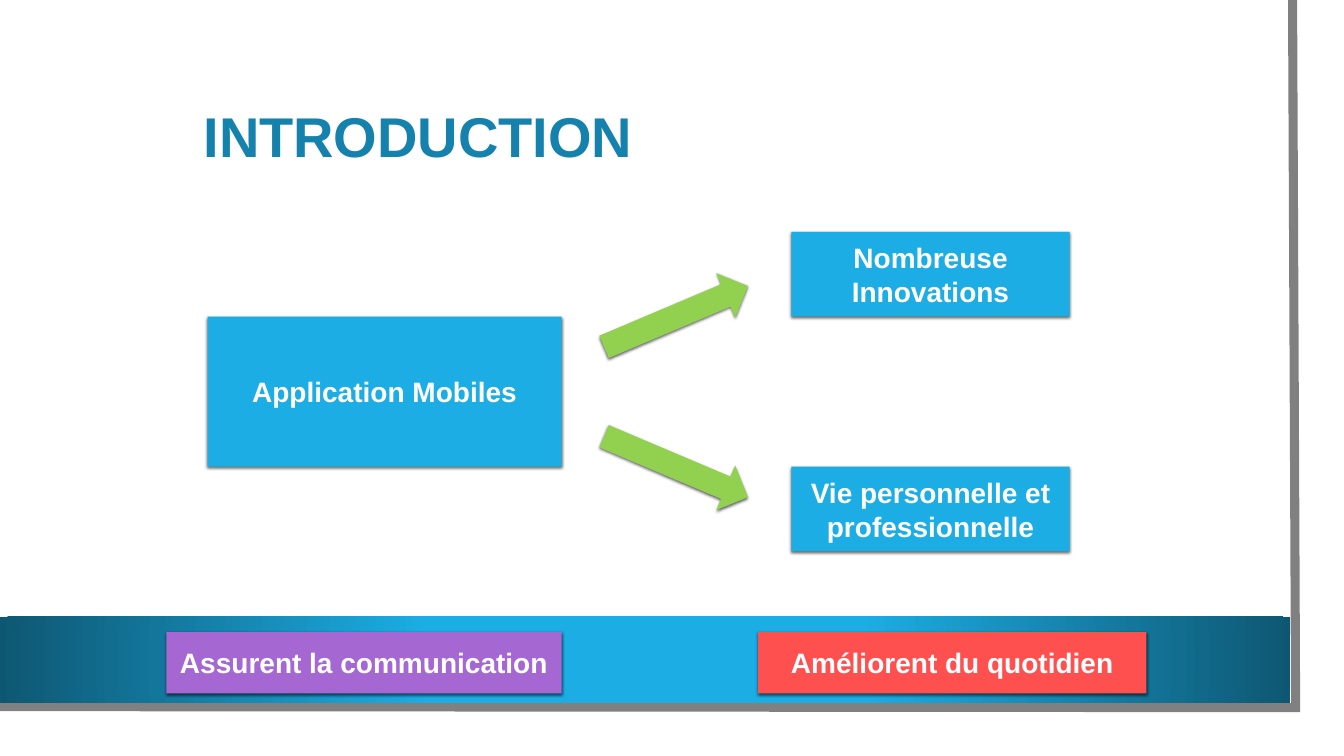
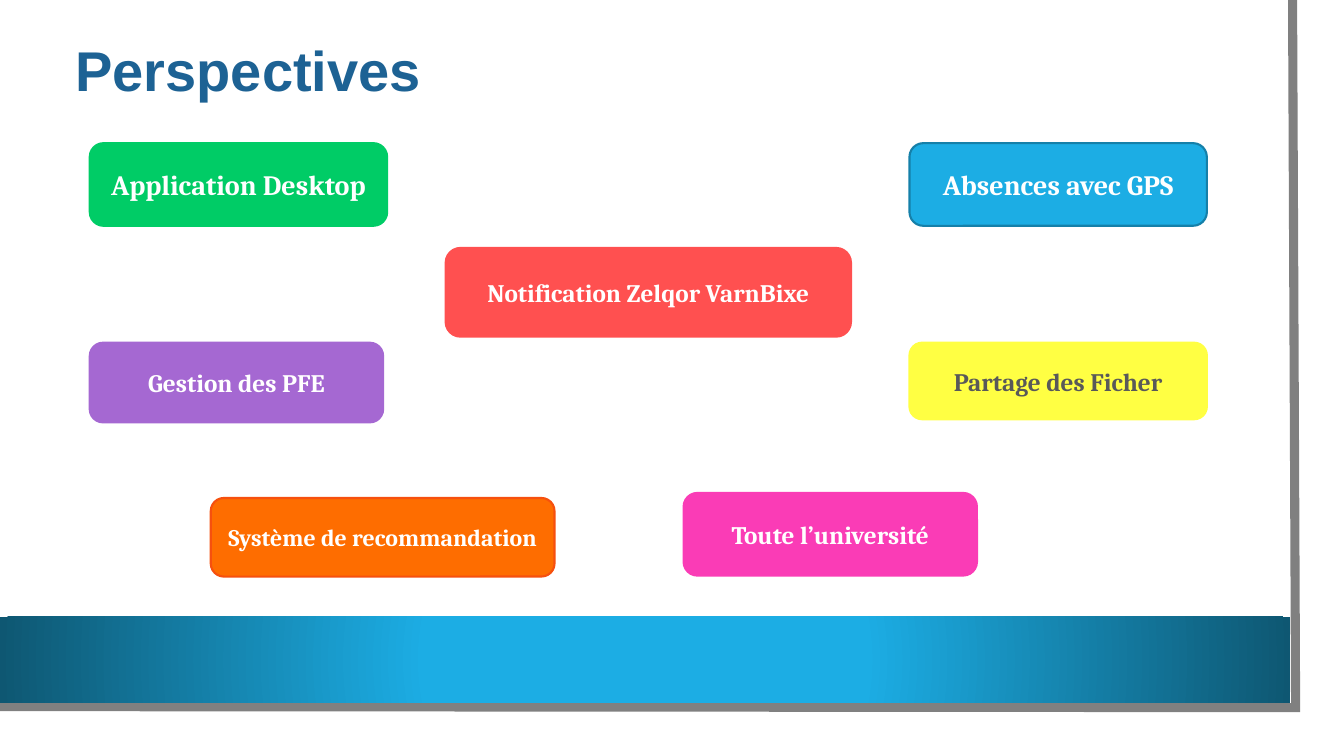
from lxml import etree
from pptx import Presentation
from pptx.dml.color import RGBColor
from pptx.enum import shapes, text
from pptx.oxml import ns
from pptx.util import Inches, Pt

COLORS = {
    "blue": "1CADE4",
    "blue_edge": "1580A9",
    "navy": "0E5772",
    "intro_title": "1482AC",
    "outlook_title": "1D6294",
    "frame": "808080",
    "arrow": "92D050",
    "purple": "A568D2",
    "red": "FF5050",
    "green": "00CC66",
    "yellow": "FFFF43",
    "pink": "FA3CB6",
    "orange": "FE6D00",
    "orange_edge": "F6500E",
    "white": "FFFFFF",
    "dark_text": "595959",
}
RECT = shapes.MSO_SHAPE.RECTANGLE
ROUNDED = shapes.MSO_SHAPE.ROUNDED_RECTANGLE
ARROW = shapes.MSO_SHAPE.RIGHT_ARROW


def rgb(name):
    return RGBColor.from_string(COLORS[name])


def write(shape, words, size=20, font="Arial", color="white",
          align=text.PP_ALIGN.CENTER, spacing=1.0, inset=0.05):
    frame = shape.text_frame
    frame.word_wrap = True
    frame.vertical_anchor = text.MSO_ANCHOR.MIDDLE
    frame.margin_left = frame.margin_right = Inches(inset)
    paragraph = frame.paragraphs[0]
    paragraph.alignment = align
    paragraph.line_spacing = spacing
    run = paragraph.add_run()
    run.text = words
    run.font.size = Pt(size)
    run.font.name = font
    run.font.bold = True
    run.font.color.rgb = rgb(color)


def add_shadow(shape):
    effects = shape._element.spPr.find(ns.qn("a:effectLst"))
    shadow = etree.SubElement(effects, ns.qn("a:outerShdw"), blurRad=str(Pt(2)),
                              dist=str(Pt(1)), dir="5400000", rotWithShape="0")
    black = etree.SubElement(shadow, ns.qn("a:srgbClr"), val="000000")
    etree.SubElement(black, ns.qn("a:alpha"), val="60000")


def add_block(slide, kind, box, fill, edge=None, shadow=False):
    block = slide.shapes.add_shape(kind, *map(Inches, box))
    block.shadow.inherit = False
    block.fill.solid()
    block.fill.fore_color.rgb = rgb(fill)
    if edge:
        block.line.color.rgb = rgb(edge)
        block.line.width = Pt(1.5)
    else:
        block.line.fill.background()
    if shadow:
        add_shadow(block)
    return block


def add_frame(slide):
    builder = slide.shapes.build_freeform(Inches(12.82), 0)
    corners = [(12.85, 7.02), (-0.03, 7.01)]
    builder.add_line_segments([(Inches(x), Inches(y)) for x, y in corners], close=False)
    frame = builder.convert_to_shape()
    frame.shadow.inherit = False
    frame.fill.background()
    frame.line.color.rgb = rgb("frame")
    frame.line.width = Pt(6.5)
    outline = frame._element.spPr.find(ns.qn("a:ln"))
    etree.SubElement(outline, ns.qn("a:miter"), lim="800000")


def add_band(slide, box):
    band = add_block(slide, RECT, box, "blue")
    band.fill.gradient()
    for stop, color, position in zip(band.fill.gradient_stops, ("blue", "navy"), (0.34, 1)):
        stop.color.rgb = rgb(color)
        stop.position = position
    gradient = band._element.spPr.find(ns.qn("a:gradFill"))
    gradient.remove(gradient.find(ns.qn("a:lin")))
    radial = etree.SubElement(gradient, ns.qn("a:path"), path="circle")
    etree.SubElement(radial, ns.qn("a:fillToRect"), l="50000", t="50000", r="50000", b="50000")


def add_title(slide, words, box, color, spacing=1.0):
    title = slide.shapes.add_textbox(*map(Inches, box))
    write(title, words, size=40, color=color, align=text.PP_ALIGN.LEFT,
          spacing=spacing, inset=0.1)


def new_slide(deck):
    slide = deck.slides.add_slide(deck.slide_layouts[6])
    add_frame(slide)
    add_band(slide, (0, 6.12, 12.8, 0.85))
    return slide


def add_diagram(slide, left, top):
    boxes = [
        ("Application Mobiles", (0, 0.84, 3.51, 1.49)),
        ("Nombreuse Innovations", (5.79, 0, 2.76, 0.84)),
        ("Vie personnelle et professionnelle", (5.79, 2.33, 2.76, 0.84)),
    ]
    for words, (x, y, width, height) in boxes:
        block = add_block(slide, RECT, (left + x, top + y, width, height), "blue", shadow=True)
        write(block, words)
    for y, angle in ((0.6, -22.9), (2.09, 22.9)):
        arrow = add_block(slide, ARROW, (left + 3.87, top + y, 1.55, 0.48), "arrow", shadow=True)
        arrow.rotation = angle


def add_benefits(slide, top, height):
    benefits = [
        ("Assurent la communication", 1.65, 3.92, "purple"),
        ("Améliorent du quotidien", 7.52, 3.85, "red"),
    ]
    for words, left, width, fill in benefits:
        write(add_block(slide, RECT, (left, top, width, height), fill, shadow=True), words)


def add_ideas(slide, left, top):
    far = 8.13
    ideas = [
        ("Application Desktop", (0, 0, 2.95, 0.82), "green", "green", 20, "white"),
        ("Absences avec GPS", (far, 0, 2.95, 0.82), "blue", "blue_edge", 20, "white"),
        ("Notification Zelqor VarnBixe", (3.53, 1.04, 4.02, 0.88), "red", "red", 18, "white"),
        ("Gestion des PFE", (0, 1.98, 2.91, 0.79), "purple", "purple", 18, "white"),
        ("Partage des Ficher", (far, 1.98, 2.95, 0.76), "yellow", "yellow", 18, "dark_text"),
        ("Toute l’université", (5.89, 3.47, 2.91, 0.82), "pink", "pink", 18, "white"),
        ("Système de recommandation", (1.2, 3.52, 3.41, 0.78), "orange", "orange_edge", 17, "white"),
    ]
    for words, (x, y, width, height), fill, edge, size, color in ideas:
        card = add_block(slide, ROUNDED, (left + x, top + y, width, height), fill, edge)
        write(card, words, size=size, font="Cambria", color=color)


def build_introduction(deck):
    slide = new_slide(deck)
    add_title(slide, "INTRODUCTION", (1.92, 0.75, 9.81, 1.26), "intro_title", spacing=0.9)
    add_diagram(slide, 2.06, 2.3)
    add_benefits(slide, 6.27, 0.61)


def build_perspectives(deck):
    slide = new_slide(deck)
    add_title(slide, "Perspectives", (0.65, 0.3, 4.05, 0.77), "outlook_title")
    add_ideas(slide, 0.89, 1.42)


def main():
    deck = Presentation()
    deck.slide_width = Inches(13.33)
    deck.slide_height = Inches(7.5)
    build_introduction(deck)
    build_perspectives(deck)
    deck.save("out.pptx")


if __name__ == "__main__":
    main()
